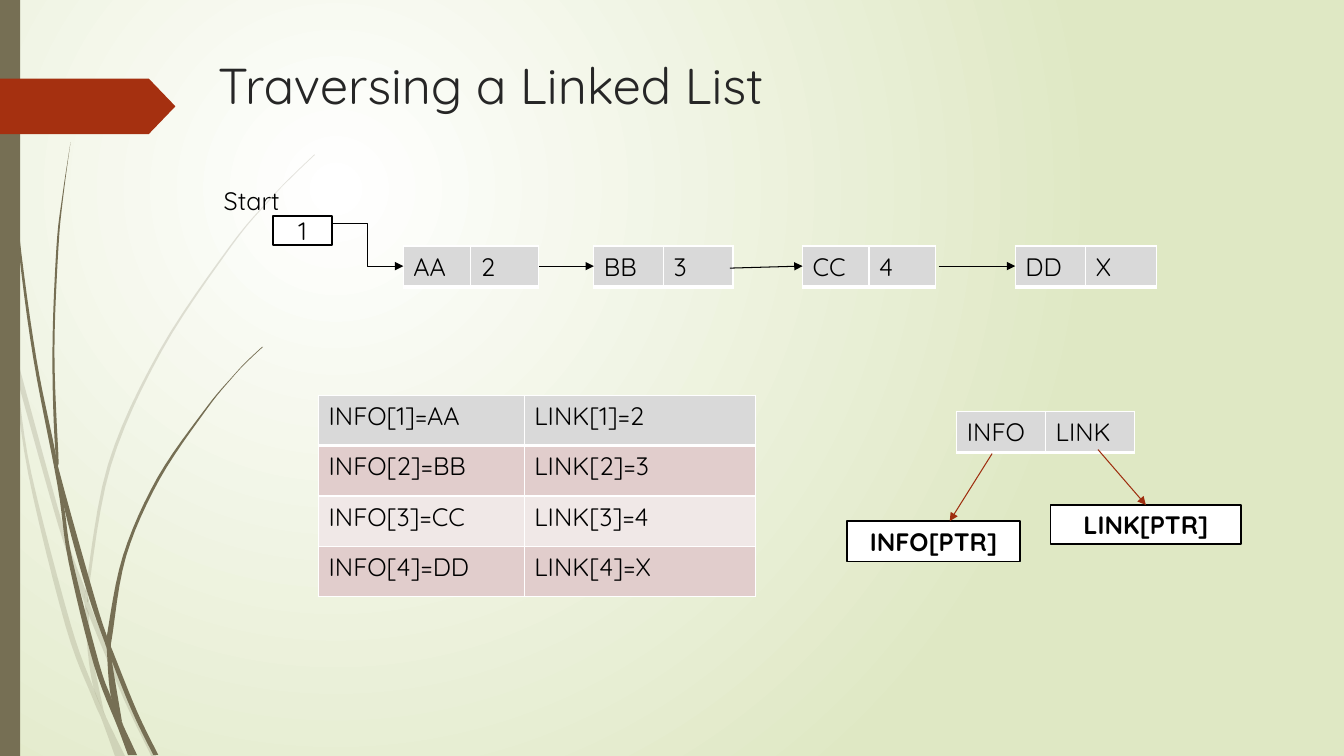
from dataclasses import dataclass

from lxml import etree
from pptx import Presentation, util as u
from pptx.dml import color as dml
from pptx.enum import shapes, text
from pptx.oxml import ns

FONT = "Quicksand"
OLIVE, RUST, GREY = "766F54", "A53010", "D9D9D9"
BLACK, WHITE = "000000", "FFFFFF"
Point = tuple[float, float]


@dataclass
class Blade:
    outer: list[Point]
    inner: list[Point]
    opacity: int = 100


@dataclass
class Grid:
    left: float
    top: float
    columns: list[float]
    row_height: float
    rows: list[list[str]]


@dataclass
class Box:
    left: float
    top: float
    width: float
    height: float
    label: str
    bold: bool = False


@dataclass
class Arrow:
    start: Point
    end: Point
    color: str = BLACK
    kind: shapes.MSO_CONNECTOR = shapes.MSO_CONNECTOR.STRAIGHT


PALE_BLADES = [
    Blade([(0, 2.82), (0.09, 3.22), (0.17, 3.76), (0.31, 4.69), (0.7, 6.19), (0.93, 6.83),
           (1.05, 7.11), (1.24, 7.5)],
          [(1.14, 7.5), (1.01, 7.14), (0.92, 6.93), (0.65, 6.21), (0.28, 4.7), (0.11, 3.5), (0, 2.99)], 20),
    Blade([(0.14, 3.45), (0.62, 5.2), (0.85, 5.86), (0.92, 6.07), (1.27, 6.92), (1.55, 7.5)],
          [(1.5, 7.5), (1.23, 6.94), (0.88, 6.1), (0.84, 5.99), (0.58, 5.22), (0.17, 3.76)], 20),
    Blade([(0.84, 5.99), (0.87, 6.46), (0.93, 6.83), (1.05, 7.11)],
          [(1.03, 7.06), (0.91, 6.46), (0.88, 6.08)], 20),
    Blade([(3.12, 1.53), (2.89, 1.75), (2.68, 1.97), (2.28, 2.44), (1.58, 3.48), (1.07, 4.61),
           (0.85, 5.84), (0.85, 5.86)],
          [(0.88, 5.96), (0.88, 5.84), (1.1, 4.62), (1.6, 3.49), (2.29, 2.45), (2.68, 1.98),
           (2.9, 1.75), (3.12, 1.54)], 20),
]
DARK_BLADES = [
    Blade([(0.04, 0), (0.05, 0.48), (0.08, 1.09), (0.19, 2.32), (0.36, 3.55), (0.55, 4.49),
           (0.64, 5.05), (0.72, 5.56), (0.98, 6.57), (1.1, 6.91), (1.22, 7.19), (1.36, 7.49)],
          [(1.27, 7.49), (1.17, 7.22), (0.93, 6.59), (0.68, 5.57), (0.57, 4.81), (0.33, 3.55),
           (0.17, 2.33), (0.07, 1.1), (0.04, 0.48), (0.03, 0)]),
    Blade([(0.7, 1.41), (0.63, 1.93), (0.58, 2.45), (0.54, 3.49), (0.58, 4.53), (0.6, 4.72),
           (0.93, 5.9), (1.06, 6.31), (1.13, 6.49), (1.36, 7.06), (1.57, 7.49)],
          [(1.52, 7.49), (1.32, 7.08), (1.11, 6.56), (0.88, 5.92), (0.64, 5.05), (0.55, 4.49),
           (0.52, 3.49), (0.56, 2.45), (0.62, 1.93), (0.7, 1.41)]),
    Blade([(2.6, 3.44), (2.45, 3.58), (2.31, 3.73), (2.04, 4.05), (1.56, 4.74), (1.22, 5.51),
           (1.06, 6.31), (1.06, 6.45), (1.1, 6.91), (1.22, 7.19)],
          [(1.21, 7.16), (1.11, 6.56), (1.1, 6.41), (1.11, 6.33), (1.25, 5.52), (1.58, 4.76),
           (2.05, 4.06), (2.31, 3.74), (2.45, 3.59), (2.61, 3.44)]),
]
NODES = [
    Grid(4, 2.44, [0.67, 0.67], 0.41, [["AA", "2"]]),
    Grid(5.89, 2.44, [0.69, 0.69], 0.41, [["BB", "3"]]),
    Grid(7.96, 2.44, [0.66, 0.66], 0.41, [["CC", "4"]]),
    Grid(10.07, 2.44, [0.7, 0.7], 0.41, [["DD", "X"]]),
    Grid(9.49, 4.08, [0.88, 0.88], 0.41, [["INFO", "LINK"]]),
]
ARRAYS = Grid(3.16, 3.92, [2.04, 2.29], 0.5,
              [[f"INFO[{i}]={info}", f"LINK[{i}]={link}"]
               for i, (info, link) in enumerate(zip(["AA", "BB", "CC", "DD"], "234X"), 1)])
START = Box(2.71, 2.14, 0.58, 0.29, "1")
INFO_PTR = Box(8.4, 5.17, 1.72, 0.4, "INFO[PTR]", True)
LINK_PTR = Box(10.42, 5.01, 1.89, 0.39, "LINK[PTR]", True)
ARROWS = [
    Arrow((3.29, 2.22), (4, 2.64), kind=shapes.MSO_CONNECTOR.ELBOW),
    Arrow((5.35, 2.64), (5.89, 2.64)),
    Arrow((7.24, 2.66), (7.96, 2.64)),
    Arrow((9.31, 2.64), (10.07, 2.64)),
    Arrow((9.84, 4.5), (9.42, 5.17), "9E2E0F"),
]
LINK_ARROW = Arrow((10.89, 4.46), (11.36, 5.01), "9E2E0F")


def rgb(value: str) -> dml.RGBColor:
    return dml.RGBColor.from_string(value)


def write(frame, content: str, *, size: float = 18, color: str = BLACK, bold: bool = False,
          align=text.PP_ALIGN.LEFT) -> None:
    frame.word_wrap = True
    paragraph = frame.paragraphs[0]
    paragraph.alignment = align
    run = paragraph.add_run()
    run.text = content
    run.font.name, run.font.size, run.font.bold = FONT, u.Pt(size), bold
    run.font.color.rgb = rgb(color)


def paint(shape, fill: str, line: str | None = None) -> None:
    shape.shadow.inherit = False
    shape.fill.solid()
    shape.fill.fore_color.rgb = rgb(fill)
    if line:
        shape.line.color.rgb = rgb(line)
        shape.line.width = u.Pt(1.25)
    else:
        shape.line.fill.background()


def smooth(points: list[Point], steps: int = 6) -> list[Point]:
    padded = [points[0], *points, points[-1]]
    curve = [points[0]]
    for a, b, c, d in zip(padded, padded[1:], padded[2:], padded[3:]):
        for t in (step / steps for step in range(1, steps + 1)):
            x, y = (0.5 * (2 * q + (r - p) * t + (2 * p - 5 * q + 4 * r - s) * t ** 2
                           + (3 * q - p - 3 * r + s) * t ** 3) for p, q, r, s in zip(a, b, c, d))
            curve.append((x, y))
    return curve


def draw_blade(slide, blade: Blade) -> None:
    outline = [(u.Inches(x), u.Inches(y)) for x, y in smooth(blade.outer) + smooth(blade.inner)]
    builder = slide.shapes.build_freeform(*outline[0], scale=1.0)
    builder.add_line_segments(outline[1:], close=True)
    shape = builder.convert_to_shape()
    paint(shape, OLIVE)
    if blade.opacity < 100:
        tone = shape.fill._xPr.find(".//" + ns.qn("a:srgbClr"))
        etree.SubElement(tone, ns.qn("a:alpha"), val=str(blade.opacity * 1000))


def draw_box(slide, box: Box):
    shape = slide.shapes.add_shape(shapes.MSO_SHAPE.RECTANGLE, *map(
        u.Inches, (box.left, box.top, box.width, box.height)))
    paint(shape, WHITE, BLACK)
    shape.text_frame.vertical_anchor = text.MSO_ANCHOR.MIDDLE
    write(shape.text_frame, box.label, bold=box.bold, align=text.PP_ALIGN.CENTER)
    return shape


def draw_arrow(slide, arrow: Arrow):
    line = slide.shapes.add_connector(arrow.kind, *map(u.Inches, arrow.start + arrow.end))
    line.line.color.rgb = rgb(arrow.color)
    line.line.width = u.Pt(0.75)
    etree.SubElement(line.line._get_or_add_ln(), ns.qn("a:tailEnd"), type="triangle")
    etree.SubElement(line._element.spPr, ns.qn("a:effectLst"))
    return line


def border(cell, bottom: float) -> None:
    properties = cell._tc.get_or_add_tcPr()
    for index, (side, width) in enumerate([("L", 1), ("R", 1), ("T", 1), ("B", bottom)]):
        edge = etree.Element(ns.qn(f"a:ln{side}"), w=str(u.Pt(width)))
        fill = etree.SubElement(edge, ns.qn("a:solidFill"))
        etree.SubElement(fill, ns.qn("a:srgbClr"), val=WHITE)
        properties.insert(index, edge)


def draw_grid(slide, grid: Grid) -> None:
    size = (sum(grid.columns), grid.row_height * len(grid.rows))
    table = slide.shapes.add_table(len(grid.rows), len(grid.columns), *map(
        u.Inches, (grid.left, grid.top, *size))).table
    for column, width in zip(table.columns, grid.columns):
        column.width = u.Inches(width)
    for r, labels in enumerate(grid.rows):
        table.rows[r].height = u.Inches(grid.row_height)
        for c, label in enumerate(labels):
            cell = table.cell(r, c)
            cell.fill.solid()
            cell.fill.fore_color.rgb = rgb(GREY if r == 0 else ("F0E8E7", "E1CDCC")[r % 2])
            border(cell, 3 if r == 0 else 1)
            write(cell.text_frame, label)


def draw_background(slide) -> None:
    fill = slide.background.fill
    fill.gradient()
    for stop, position, tone in zip(fill.gradient_stops, (0, 1), (WHITE, "DFE8C4")):
        stop.position = position
        stop.color.rgb = rgb(tone)
    linear = slide._element.find(".//" + ns.qn("a:lin"))
    radial = etree.Element(ns.qn("a:path"), path="circle")
    etree.SubElement(radial, ns.qn("a:fillToRect"), l="50000", t="50000", r="100000", b="100000")
    linear.getparent().replace(linear, radial)


def main() -> None:
    deck = Presentation()
    deck.slide_width, deck.slide_height = u.Inches(13.33), u.Inches(7.5)
    slide = deck.slides.add_slide(deck.slide_layouts[5])
    draw_background(slide)
    for blade in PALE_BLADES + DARK_BLADES:
        draw_blade(slide, blade)
    stripe = slide.shapes.add_shape(shapes.MSO_SHAPE.RECTANGLE, 0, 0, u.Inches(0.2), u.Inches(7.5))
    paint(stripe, OLIVE)
    marker = slide.shapes.add_shape(shapes.MSO_SHAPE.PENTAGON, 0, *map(u.Inches, (0.78, 1.74, 0.55)))
    marker.adjustments[0] = 0.48
    paint(marker, RUST)

    title = slide.shapes.title
    title.left, title.top, title.width, title.height = map(u.Inches, (2.06, 0.49, 10.72, 0.79))
    title.text_frame.auto_size = text.MSO_AUTO_SIZE.NONE
    title.text_frame.vertical_anchor = text.MSO_ANCHOR.TOP
    write(title.text_frame, "Traversing a Linked List", size=36, color="262626")
    start = slide.shapes.add_textbox(*map(u.Inches, (2.12, 1.79, 10.57, 5.06)))
    write(start.text_frame, "Start")

    for grid in [*NODES, ARRAYS]:
        draw_grid(slide, grid)
    for box in (START, INFO_PTR):
        draw_box(slide, box)
    link_box = draw_box(slide, LINK_PTR)
    for arrow in ARROWS:
        draw_arrow(slide, arrow)
    draw_arrow(slide, LINK_ARROW).end_connect(link_box, 0)
    deck.save("out.pptx")


if __name__ == "__main__":
    main()
